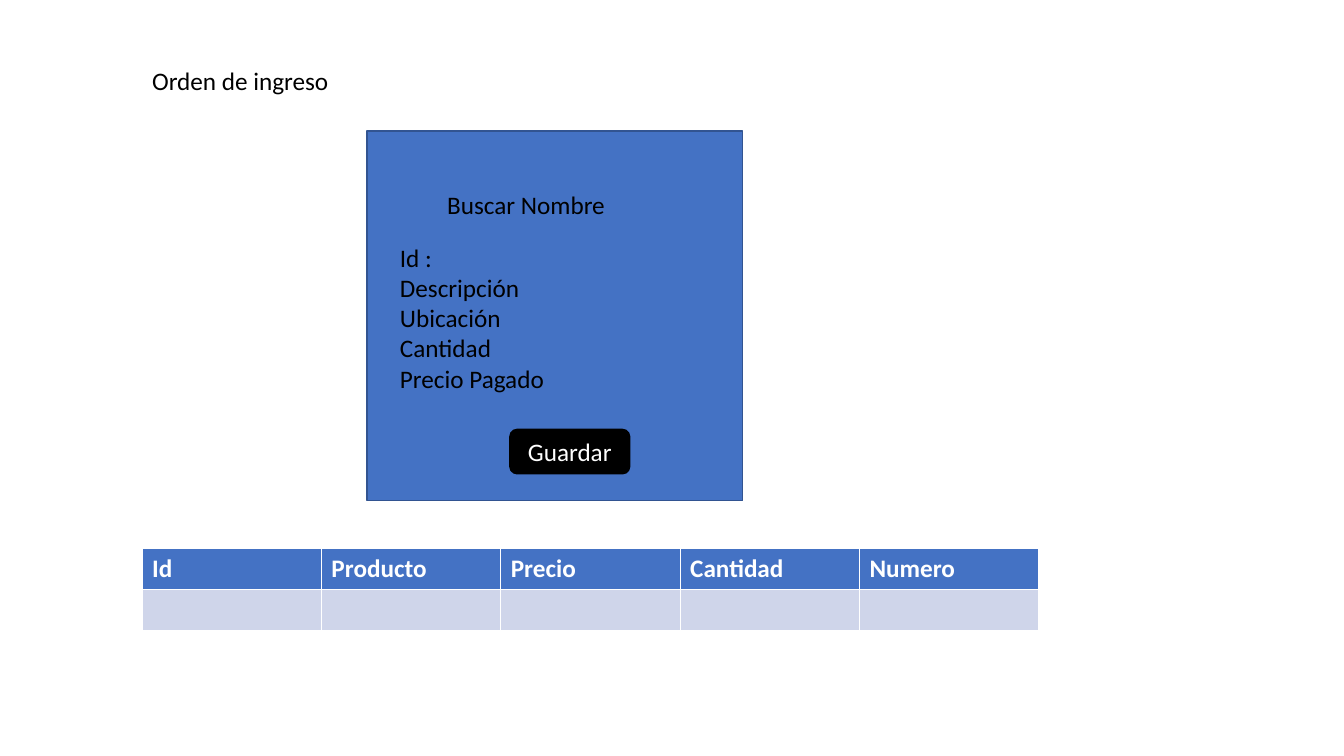
"""Build the goods-receipt form slide with its search panel and product table."""
from pptx import Presentation
from pptx.dml.color import RGBColor
from pptx.enum.shapes import MSO_SHAPE as Preset
from pptx.enum.text import MSO_ANCHOR as Anchor, MSO_AUTO_SIZE as AutoSize, PP_ALIGN as Align
from pptx.util import Cm, Pt

COLORS = {
    "panel": "4472C4",
    "panel_line": "325491",
    "ink": "000000",
    "paper": "FFFFFF",
    "row": "CFD5EA",
}


def color(name):
    return RGBColor.from_string(COLORS[name])


def write(frame, lines, ink="ink", align=Align.LEFT, bold=False, **layout):
    for name, value in layout.items():
        setattr(frame, name, value)
    for number, line in enumerate(lines):
        para = frame.paragraphs[0] if number == 0 else frame.add_paragraph()
        para.alignment = align
        span = para.add_run()
        span.text = line
        span.font.color.rgb = color(ink)
        for name, value in {"name": "Calibri", "size": Pt(18), "bold": bold}.items():
            setattr(span.font, name, value)


deck = Presentation()
deck.slide_width, deck.slide_height = Cm(33.87), Cm(19.05)
page = deck.slides.add_slide(deck.slide_layouts[5])

title = page.shapes.title
place = {"left": Cm(3.58), "top": Cm(1.52), "width": Cm(5.89), "height": Cm(1.03)}
for name, value in place.items():
    setattr(title, name, value)
write(title.text_frame, ["Orden de ingreso"], vertical_anchor=Anchor.TOP,
      word_wrap=True, auto_size=AutoSize.SHAPE_TO_FIT_TEXT)

panel = page.shapes.add_shape(Preset.RECTANGLE, Cm(9.25), Cm(3.3), Cm(9.47), Cm(9.32))
button = page.shapes.add_shape(Preset.ROUNDED_RECTANGLE, Cm(12.85), Cm(10.82), Cm(3.02), Cm(1.12))
for shape, fill, line in [(panel, "panel", "panel_line"), (button, "ink", "ink")]:
    shape.shadow.inherit = False
    shape.fill.solid()
    shape.fill.fore_color.rgb = color(fill)
    shape.line.color.rgb = color(line)
    shape.line.width = Pt(1)
write(button.text_frame, ["Guardar"], ink="paper", align=Align.CENTER,
      vertical_anchor=Anchor.MIDDLE)

search = page.shapes.add_textbox(Cm(11.02), Cm(4.65), Cm(5.89), Cm(1.03))
write(search.text_frame, ["Buscar Nombre"], word_wrap=True,
      auto_size=AutoSize.SHAPE_TO_FIT_TEXT)

fields = page.shapes.add_textbox(Cm(9.83), Cm(5.97), Cm(4.32), Cm(4.11))
write(fields.text_frame, ["Id :", "Descripción", "Ubicación", "Cantidad", "Precio Pagado"],
      word_wrap=False, auto_size=AutoSize.SHAPE_TO_FIT_TEXT)

headings = ["Id", "Producto", "Precio", "Cantidad", "Numero"]
products = page.shapes.add_table(2, len(headings), Cm(3.58), Cm(13.82), Cm(22.6), Cm(2.06)).table
for column, heading in enumerate(headings):
    for row, fill in enumerate(["panel", "row"]):
        cell = products.cell(row, column)
        cell.fill.solid()
        cell.fill.fore_color.rgb = color(fill)
    write(products.cell(0, column).text_frame, [heading], ink="paper", bold=True)

deck.save("out.pptx")
